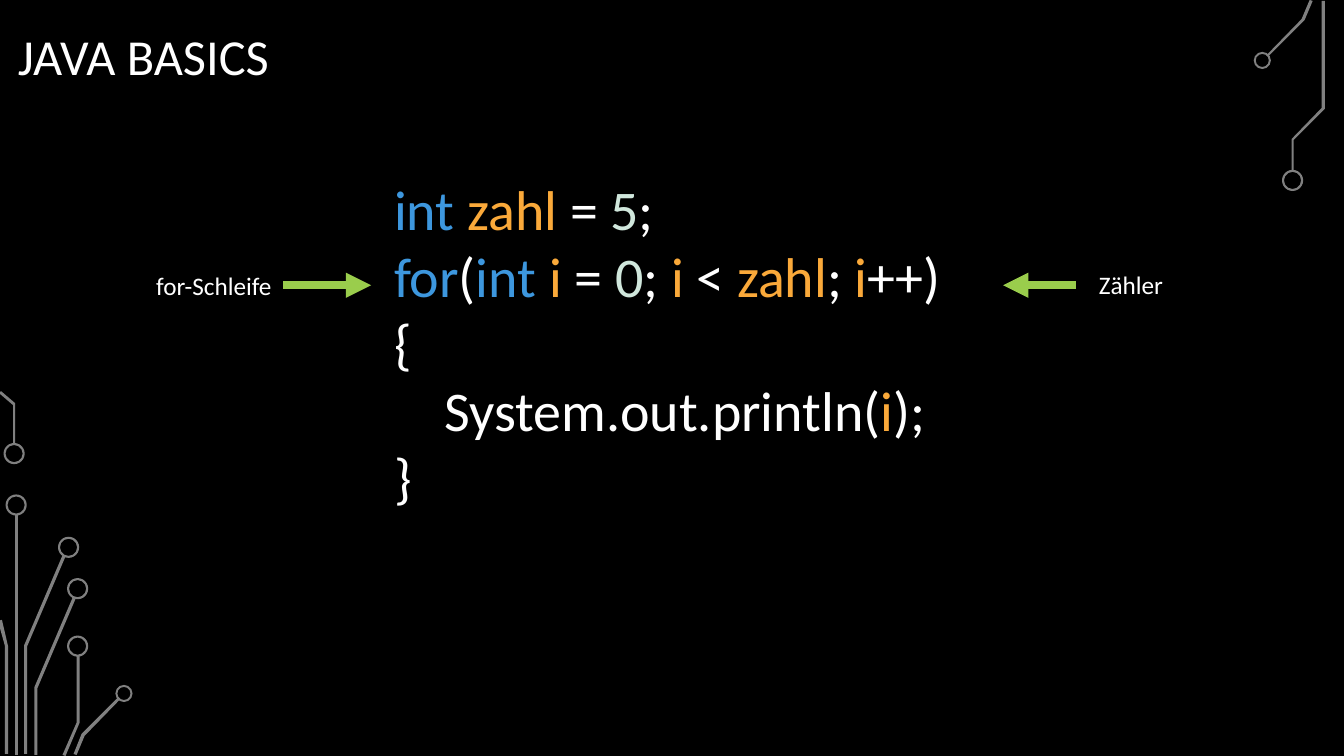
from dataclasses import dataclass
from typing import NamedTuple

from lxml.etree import SubElement
from pptx import Presentation
from pptx.dml.color import RGBColor
from pptx.enum.shapes import MSO_CONNECTOR, MSO_SHAPE
from pptx.enum.text import MSO_ANCHOR, MSO_AUTO_SIZE
from pptx.oxml.ns import qn
from pptx.shapes.base import BaseShape
from pptx.slide import Slide
from pptx.util import Inches, Pt


@dataclass(frozen=True)
class Theme:
    font: str = "Calibri"
    background: str = "000000"
    plain: str = "FFFFFF"
    keyword: str = "3D97DE"
    variable: str = "FAA93A"
    number: str = "D0E7DC"
    circuit: str = "808080"
    arrow: str = "9ACD4C"
    title_size: int = 36
    code_size: int = 40
    label_size: int = 18
    arrow_width: int = 6


THEME = Theme()
RING_THICKNESS = 0.02
CODE_INDENT = 0.5


class Span(NamedTuple):
    text: str
    color: str = THEME.plain


class Line(NamedTuple):
    spans: list[Span]
    indent: float = 0


class Ring(NamedTuple):
    center_x: float
    center_y: float
    diameter: float = 0.21


class Callout(NamedTuple):
    text: str
    left: float
    top: float
    arrow_start: float
    arrow_end: float


Outline = list[tuple[float, float]]

RINGS = [
    Ring(0.14, 4.5), Ring(0.16, 5.01), Ring(0.68, 5.43), Ring(0.77, 5.84),
    Ring(0.77, 6.41), Ring(1.23, 6.88, 0.17), Ring(12.52, 0.6, 0.17), Ring(12.82, 1.79),
]

TRACES: list[Outline] = [
    [(0.15, 4.41), (0.13, 4.41), (0.13, 4.02), (-0.01, 3.9), (0.01, 3.88), (0.15, 4)],
    [(0.15, 5.1), (0.18, 5.1), (0.18, 7.49), (0.15, 7.49)],
    [(0.27, 7.48), (0.24, 7.48), (0.24, 6.4), (0.62, 5.51), (0.65, 5.52), (0.27, 6.41)],
    [(0.08, 7.48), (0.05, 7.48), (0.05, 6.41), (-0.02, 6.16), (0.02, 6.15), (0.08, 6.41)],
    [(0.37, 7.49), (0.34, 7.49), (0.34, 6.82), (0.72, 5.93), (0.75, 5.94), (0.37, 6.83)],
    [(0.65, 7.5), (0.62, 7.49), (0.76, 7.17), (0.76, 6.5), (0.79, 6.5), (0.79, 7.17)],
    [(0.76, 7.49), (0.73, 7.48), (0.81, 7.28), (1.17, 6.92), (1.19, 6.94), (0.84, 7.3)],
    [(12.58, 0.56), (12.56, 0.55), (12.91, 0.19), (12.99, 0), (13.02, 0.01), (12.94, 0.2)],
    [(12.83, 1.69), (12.81, 1.69), (12.81, 1.38), (13.11, 1.07), (13.11, 0.01),
     (13.14, 0.01), (13.14, 1.08), (12.83, 1.39)],
]

INT = Span("int ", THEME.keyword)
COUNTER = Span("i", THEME.variable)
CODE = [
    Line([INT, Span("zahl ", THEME.variable), Span("= "), Span("5", THEME.number), Span(";")]),
    Line([Span("for", THEME.keyword), Span("("), INT, COUNTER, Span(" = "),
          Span("0", THEME.number), Span("; "), COUNTER, Span(" < "),
          Span("zahl", THEME.variable), Span("; "), COUNTER, Span("++)")]),
    Line([Span("{")]),
    Line([Span("System.out.println("), COUNTER, Span(");")], CODE_INDENT),
    Line([Span("}")]),
]

ARROW_Y = 2.83
CALLOUTS = [
    Callout("for-Schleife", 1.45, 2.63, 2.81, 3.68),
    Callout("Zähler", 10.8, 2.62, 10.67, 9.95),
]


def paint(shape: BaseShape) -> None:
    shape.shadow.inherit = False
    shape.fill.solid()
    shape.fill.fore_color.rgb = RGBColor.from_string(THEME.circuit)
    shape.line.fill.background()


def add_ring(page: Slide, ring: Ring) -> None:
    size = Inches(ring.diameter)
    left = Inches(ring.center_x - ring.diameter / 2)
    top = Inches(ring.center_y - ring.diameter / 2)
    shape = page.shapes.add_shape(MSO_SHAPE.DONUT, left, top, size, size)
    shape.adjustments[0] = RING_THICKNESS / ring.diameter
    paint(shape)


def add_trace(page: Slide, outline: Outline) -> None:
    start, *rest = [(Inches(x), Inches(y)) for x, y in outline]
    builder = page.shapes.build_freeform(*start)
    builder.add_line_segments(rest, close=True)
    paint(builder.convert_to_shape())


def add_text(page: Slide, lines: list[Line], *, left: float, top: float, width: float,
             height: float, size: int, anchor: MSO_ANCHOR = MSO_ANCHOR.TOP,
             fit: MSO_AUTO_SIZE = MSO_AUTO_SIZE.SHAPE_TO_FIT_TEXT,
             line_spacing: float = 1.0) -> None:
    box = page.shapes.add_textbox(Inches(left), Inches(top), Inches(width), Inches(height))
    frame = box.text_frame
    frame.word_wrap = True
    frame.auto_size = fit
    frame.vertical_anchor = anchor
    for index, line in enumerate(lines):
        para = frame.add_paragraph() if index else frame.paragraphs[0]
        para.line_spacing = line_spacing
        if line.indent:
            para._p.get_or_add_pPr().set("marL", str(Inches(line.indent)))
        for span in line.spans:
            run = para.add_run()
            run.text = span.text
            run.font.name = THEME.font
            run.font.size = Pt(size)
            run.font.color.rgb = RGBColor.from_string(span.color)


def add_arrow(page: Slide, start: float, end: float) -> None:
    arrow = page.shapes.add_connector(
        MSO_CONNECTOR.STRAIGHT, Inches(start), Inches(ARROW_Y), Inches(end), Inches(ARROW_Y))
    arrow.line.color.rgb = RGBColor.from_string(THEME.arrow)
    arrow.line.width = Pt(THEME.arrow_width)
    SubElement(arrow.line._get_or_add_ln(), qn("a:tailEnd"), type="triangle")
    SubElement(arrow._element.spPr, qn("a:effectLst"))


def main() -> None:
    deck = Presentation()
    deck.slide_width, deck.slide_height = Inches(13.33), Inches(7.5)
    page = deck.slides.add_slide(deck.slide_layouts[6])
    page.background.fill.solid()
    page.background.fill.fore_color.rgb = RGBColor.from_string(THEME.background)

    for outline in TRACES:
        add_trace(page, outline)
    for ring in RINGS:
        add_ring(page, ring)

    add_text(page, [Line([Span("JAVA BASICS")])], left=0.08, top=0.18, width=7.46, height=0.81,
             size=THEME.title_size, anchor=MSO_ANCHOR.MIDDLE, fit=MSO_AUTO_SIZE.NONE,
             line_spacing=0.9)
    add_text(page, CODE, left=3.81, top=1.68, width=9.39, height=3.47, size=THEME.code_size)
    for callout in CALLOUTS:
        add_arrow(page, callout.arrow_start, callout.arrow_end)
        add_text(page, [Line([Span(callout.text)])], left=callout.left, top=callout.top,
                 width=1.68, height=0.4, size=THEME.label_size)

    deck.save("out.pptx")


if __name__ == "__main__":
    main()
